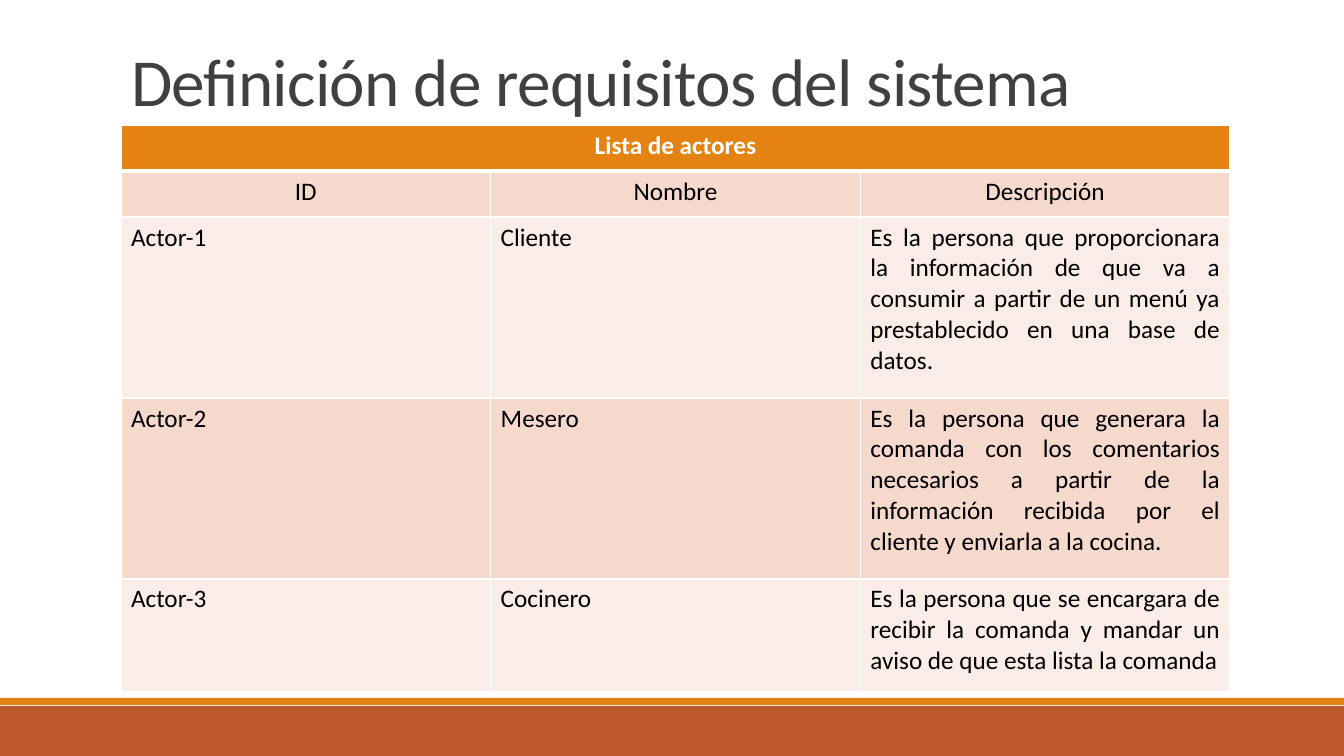
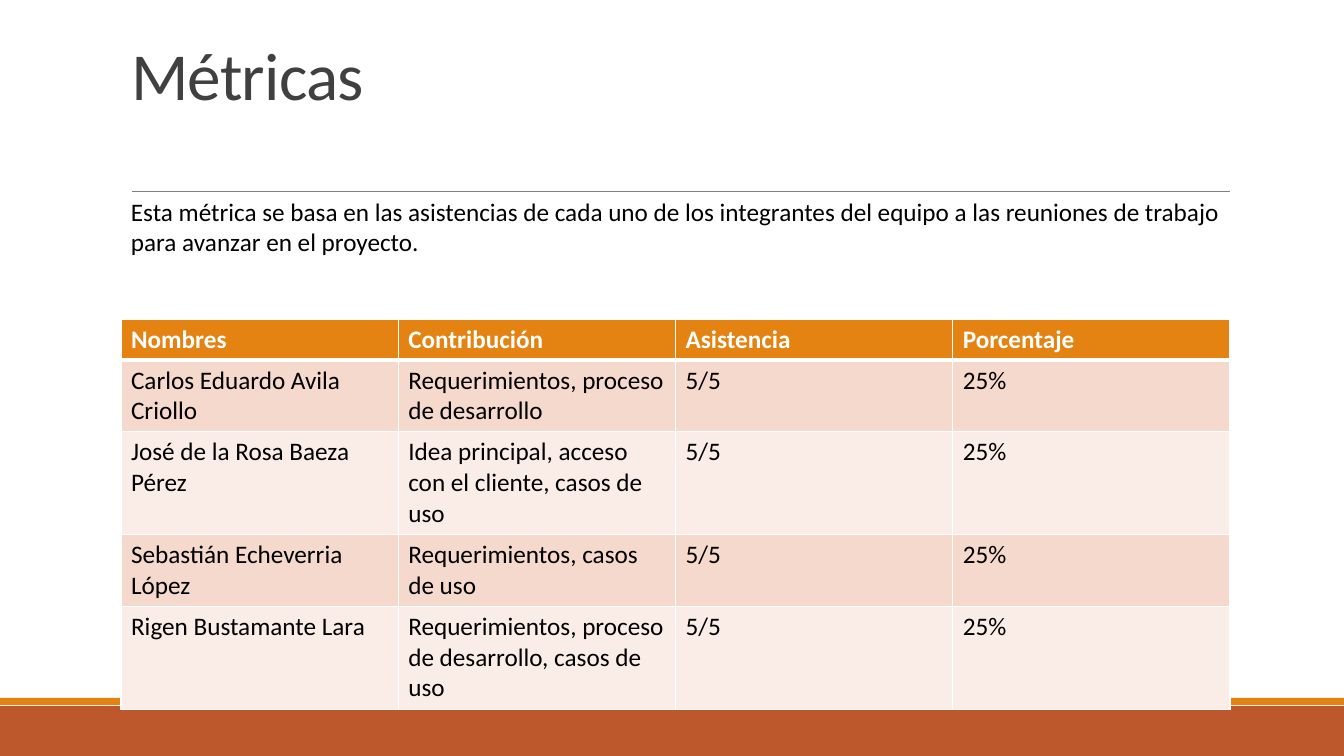
from lxml import etree
from pptx import Presentation
from pptx.dml.color import RGBColor
from pptx.enum import shapes, text
from pptx.oxml import ns
from pptx.util import Emu, Pt

PX = 914400 / 100.8
FONT = "Calibri"
WHITE = RGBColor(0xFF, 0xFF, 0xFF)
BLACK = RGBColor(0, 0, 0)
INK = RGBColor(0x40, 0x40, 0x40)
GRAY = RGBColor(0x80, 0x80, 0x80)
RUST = RGBColor(0xBD, 0x58, 0x2C)
AMBER = RGBColor(0xE4, 0x83, 0x12)
ROSE = RGBColor(0xF5, 0xD9, 0xCC)
PALE = RGBColor(0xFA, 0xED, 0xE7)
WIDE, HIGH = 1344, 756
LEFT, SPAN = 121, 1109
LEAD, MID, JUST = text.PP_ALIGN.LEFT, text.PP_ALIGN.CENTER, text.PP_ALIGN.JUSTIFY


def px(*sizes):
    return [Emu(round(size * PX)) for size in sizes]


def write(frame, words, size=18, color=BLACK, bold=False, align=LEAD,
          line=None, track=None):
    frame.word_wrap = True
    par = frame.paragraphs[0]
    par.alignment = align
    if line:
        par.line_spacing = line
    run = par.add_run()
    run.text = words
    font = run.font
    font.name, font.size, font.bold = FONT, Pt(size), bold
    font.color.rgb = color
    if track:
        run._r.get_or_add_rPr().set("spc", str(round(track * 100)))


def band(slide, box, color):
    bar = slide.shapes.add_shape(shapes.MSO_SHAPE.RECTANGLE, *px(*box))
    bar.shadow.inherit = False
    bar.fill.solid()
    bar.fill.fore_color.rgb = color
    bar.line.fill.background()


def rule(slide, left, right, top):
    line = slide.shapes.add_connector(
        shapes.MSO_CONNECTOR.STRAIGHT, *px(left, top, right, top))
    line.line.color.rgb = GRAY
    line.line.width = Pt(0.5)
    etree.SubElement(line._element.spPr, ns.qn("a:effectLst"))


def start(deck, words, box):
    slide = deck.slides.add_slide(deck.slide_layouts[5])
    band(slide, (0, 706, WIDE, 50), RUST)
    band(slide, (0, 698, WIDE, 7), AMBER)
    rule(slide, 132, 1230, 191)
    title = slide.shapes.title
    title.left, title.top, title.width, title.height = px(*box)
    frame = title.text_frame
    frame.auto_size = text.MSO_AUTO_SIZE.NONE
    frame.vertical_anchor = text.MSO_ANCHOR.BOTTOM
    write(frame, words, size=48, color=INK, line=0.85, track=-0.5)
    return slide


def border(cell, row):
    props = cell._tc.get_or_add_tcPr()
    widths = {"L": 1, "R": 1, "T": 3 if row == 1 else 1, "B": 3 if row == 0 else 1}
    for spot, (side, width) in enumerate(widths.items()):
        edge = etree.Element(ns.qn("a:ln" + side), w=str(Pt(width)))
        fill = etree.SubElement(edge, ns.qn("a:solidFill"))
        etree.SubElement(fill, ns.qn("a:srgbClr"), val=str(WHITE))
        props.insert(spot, edge)


def grid(slide, left, top, width, rows, highs, aligns):
    count = len(rows[-1])
    table = slide.shapes.add_table(
        len(rows), count, *px(left, top, width, sum(highs))).table
    table.horz_banding = False
    for col in table.columns:
        col.width = px(width / count)[0]
    for r, (row, high, align) in enumerate(zip(rows, highs, aligns)):
        table.rows[r].height = px(high)[0]
        head = r == 0
        for c in range(count):
            cell = table.cell(r, c)
            cell.fill.solid()
            cell.fill.fore_color.rgb = AMBER if head else ROSE if r % 2 else PALE
            border(cell, r)
            if c < len(row):
                write(cell.text_frame, row[c], bold=head, align=align,
                      color=WHITE if head else BLACK)
        if len(row) == 1:
            table.cell(r, 0).merge(table.cell(r, count - 1))


def actors(deck):
    slide = start(deck, "Definición de requisitos del sistema ", (LEFT, 31, SPAN, 94))
    rows = [
        ["Lista de actores"],
        ["ID", "Nombre", "Descripción"],
        ["Actor-1", "Cliente", "Es la persona que proporcionara la información de que "
         "va a consumir a partir de un menú ya prestablecido en una base de datos."],
        ["Actor-2", "Mesero", "Es la persona que generara la comanda con los comentarios "
         "necesarios a partir de la información recibida por el cliente y enviarla a la "
         "cocina."],
        ["Actor-3", "Cocinero", "Es la persona que se encargara de recibir la comanda y "
         "mandar un aviso de que esta lista la comanda"],
    ]
    grid(slide, LEFT, 125, SPAN, rows, [46, 46, 181, 181, 113],
         [MID, MID, JUST, JUST, JUST])


def metrics(deck):
    slide = start(deck, "Métricas", (LEFT, 31, SPAN, 88))
    people = [
        ("Carlos Eduardo Avila Criollo", "Requerimientos, proceso de desarrollo "),
        ("José de la Rosa Baeza Pérez",
         "Idea principal, acceso con el cliente, casos de uso"),
        ("Sebastián Echeverria López", "Requerimientos, casos de uso"),
        ("Rigen Bustamante Lara", "Requerimientos, proceso de desarrollo, casos de uso"),
    ]
    rows = [["Nombres", "Contribución", "Asistencia", "Porcentaje"]]
    rows += [[name, work, "5/5", "25%"] for name, work in people]
    grid(slide, LEFT, 319, SPAN, rows, [41, 71, 103, 71, 103], [LEAD] * len(rows))
    note = slide.shapes.add_textbox(*px(LEFT, 191, SPAN, 71)).text_frame
    note.auto_size = text.MSO_AUTO_SIZE.SHAPE_TO_FIT_TEXT
    write(note, "Esta métrica se basa en las asistencias de cada uno de los integrantes "
          "del equipo a las reuniones de trabajo para avanzar en el proyecto.")


deck = Presentation()
deck.slide_width, deck.slide_height = px(WIDE, HIGH)
actors(deck)
metrics(deck)
deck.save("out.pptx")
